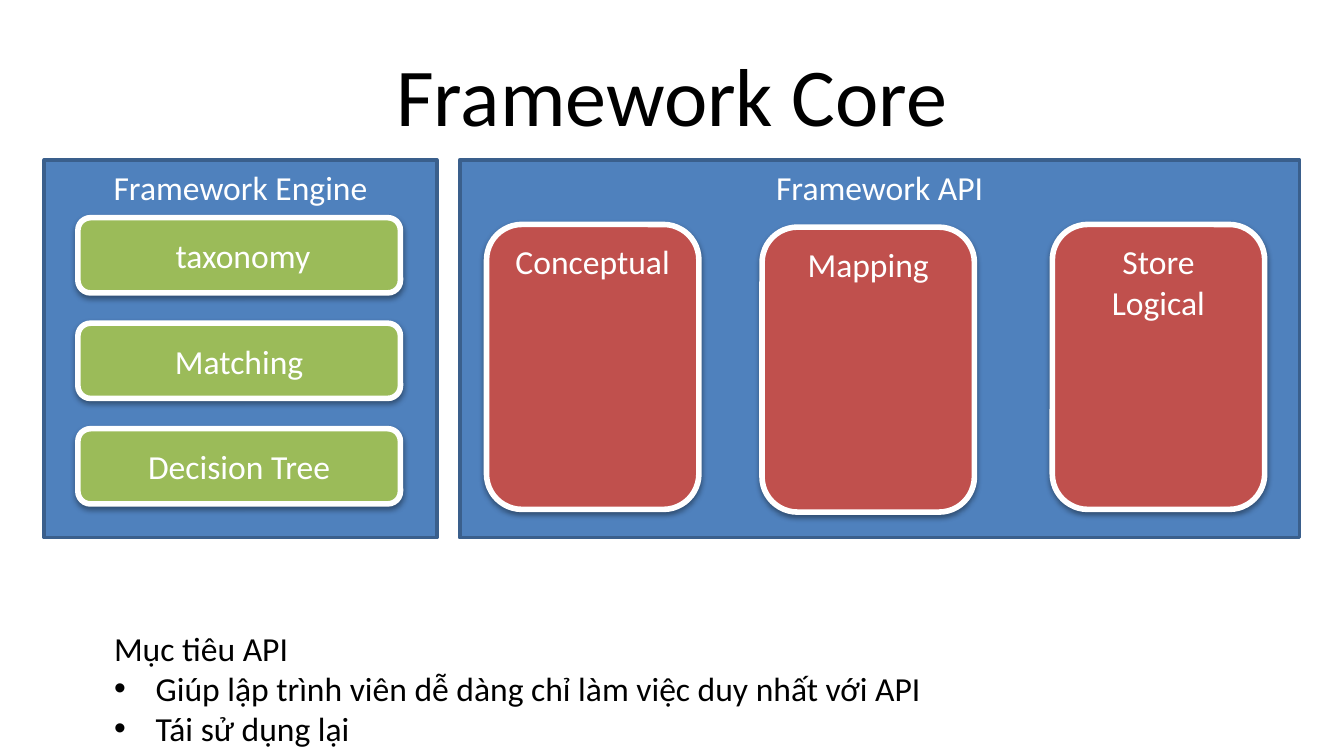
"""Build the Framework Core slide: engine and API panels above a list of API goals."""
from dataclasses import dataclass

import lxml.etree
import pptx
import pptx.dml.color
import pptx.enum.shapes
import pptx.enum.text
import pptx.oxml.ns
import pptx.util

Inches = pptx.util.Inches
Pt = pptx.util.Pt
qn = pptx.oxml.ns.qn
SHAPE = pptx.enum.shapes.MSO_SHAPE
ANCHOR = pptx.enum.text.MSO_ANCHOR
ALIGN = pptx.enum.text.PP_ALIGN


@dataclass(frozen=True)
class Style:
    geometry: SHAPE
    fill: str
    line: str
    line_pt: float
    anchor: ANCHOR
    shadow: bool


@dataclass(frozen=True)
class Box:
    text: str
    left: float
    top: float
    width: float
    height: float
    style: Style


PANEL = Style(SHAPE.RECTANGLE, "4F81BD", "3A5F8C", 2, ANCHOR.TOP, False)
ENGINE = Style(SHAPE.ROUNDED_RECTANGLE, "9BBB59", "FFFFFF", 3, ANCHOR.MIDDLE, True)
API = Style(SHAPE.ROUNDED_RECTANGLE, "C0504D", "FFFFFF", 3, ANCHOR.TOP, True)

ENGINE_PANEL = Box("Framework Engine", 0.33, 1.19, 2.92, 2.81, PANEL)
ENGINE_TOP, ENGINE_BOTTOM = 1.62, 3.19
ENGINE_PITCH = (ENGINE_BOTTOM - ENGINE_TOP) / 2
ENGINE_PARTS = [
    Box(text, 0.58, ENGINE_TOP + ENGINE_PITCH * i, 2.4, 0.56, ENGINE)
    for i, text in enumerate([" taxonomy", "Matching", "Decision Tree"])
]
API_PANEL = Box("Framework API", 3.42, 1.19, 6.25, 2.81, PANEL)
API_LAYERS = [
    Box(text, left, top, 1.58, 2.12, API)
    for text, left, top in [
        ("Conceptual", 3.62, 1.67),
        ("Mapping", 5.67, 1.69),
        ("Store Logical", 7.83, 1.67),
    ]
]
GOALS_HEADING = "Mục tiêu API"
GOALS = ["Giúp lập trình viên dễ dàng chỉ làm việc duy nhất với API", "Tái sử dụng lại"]


def rgb(value: str) -> pptx.dml.color.RGBColor:
    return pptx.dml.color.RGBColor.from_string(value)


def format_runs(p, size: float, color: str) -> None:
    for r in p.runs:
        r.font.name = "Calibri"
        r.font.size = Pt(size)
        r.font.color.rgb = rgb(color)


def add_shadow(sp) -> None:
    effects = sp._element.spPr.find(qn("a:effectLst"))
    shadow = lxml.etree.SubElement(
        effects, qn("a:outerShdw"), blurRad=str(Pt(3.1)), dist=str(Pt(1.6)),
        dir="5400000", rotWithShape="0")
    color = lxml.etree.SubElement(shadow, qn("a:srgbClr"), val="000000")
    lxml.etree.SubElement(color, qn("a:alpha"), val="38000")


def add_box(s, box: Box) -> None:
    style = box.style
    sp = s.shapes.add_shape(
        style.geometry, Inches(box.left), Inches(box.top),
        Inches(box.width), Inches(box.height))
    sp.shadow.inherit = False
    if style.shadow:
        add_shadow(sp)
    sp.fill.solid()
    sp.fill.fore_color.rgb = rgb(style.fill)
    sp.line.color.rgb = rgb(style.line)
    sp.line.width = Pt(style.line_pt)
    tf = sp.text_frame
    tf.text = box.text
    tf.word_wrap = True
    tf.vertical_anchor = style.anchor
    p = tf.paragraphs[0]
    p.alignment = ALIGN.CENTER
    format_runs(p, 18, "FFFFFF")


def add_title(s, text: str) -> None:
    tf = s.shapes.add_textbox(Inches(0.5), Inches(0.23), Inches(9), Inches(0.94)).text_frame
    tf.text = text
    tf.word_wrap = True
    tf.vertical_anchor = ANCHOR.MIDDLE
    p = tf.paragraphs[0]
    p.alignment = ALIGN.CENTER
    format_runs(p, 44, "000000")


def add_bullet(p) -> None:
    pPr = p._p.get_or_add_pPr()
    pPr.set("marL", str(Inches(0.31)))
    pPr.set("indent", str(Inches(-0.31)))
    lxml.etree.SubElement(pPr, qn("a:buFont"), typeface="Arial")
    lxml.etree.SubElement(pPr, qn("a:buChar"), char="•")


def add_goals(s, heading: str, goals: list[str]) -> None:
    tf = s.shapes.add_textbox(Inches(0.75), Inches(4.62), Inches(6.29), Inches(1.01)).text_frame
    tf.word_wrap = False
    tf.auto_size = pptx.enum.text.MSO_AUTO_SIZE.SHAPE_TO_FIT_TEXT
    tf.text = heading
    for goal in goals:
        p = tf.add_paragraph()
        p.text = goal
        add_bullet(p)
    for p in tf.paragraphs:
        format_runs(p, 18, "000000")


def main() -> None:
    prs = pptx.Presentation()
    prs.slide_width = Inches(10)
    prs.slide_height = Inches(10 * 9 / 16)
    s = prs.slides.add_slide(prs.slide_layouts[6])
    add_title(s, "Framework Core")
    for box in [ENGINE_PANEL, *ENGINE_PARTS, API_PANEL, *API_LAYERS]:
        add_box(s, box)
    add_goals(s, GOALS_HEADING, GOALS)
    prs.save("out.pptx")


if __name__ == "__main__":
    main()
